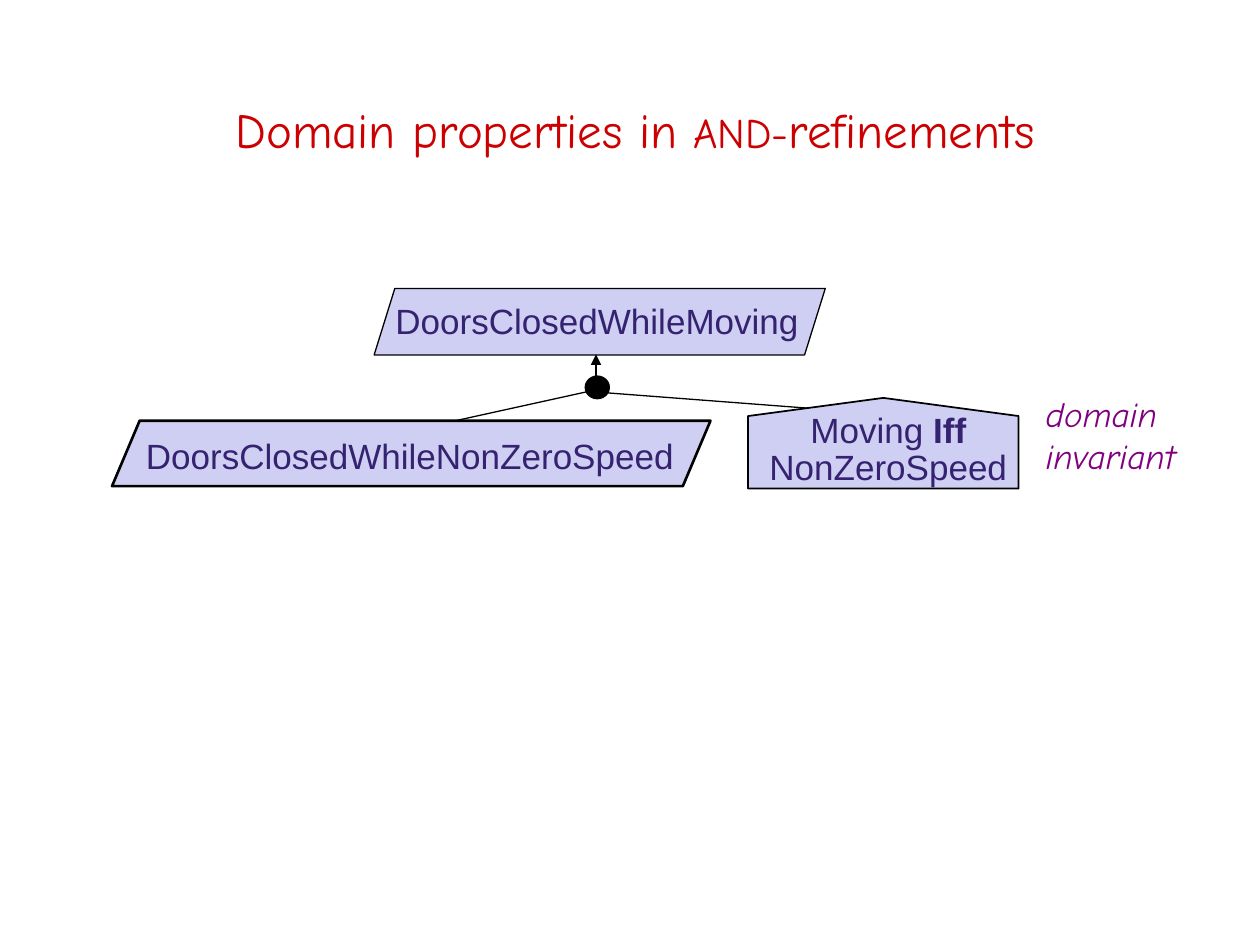
from dataclasses import dataclass
from typing import Optional

from lxml import etree
from pptx import Presentation
from pptx.dml.color import RGBColor
from pptx.enum import shapes, text
from pptx.oxml import ns
from pptx.util import Pt

RED = RGBColor(0xCC, 0x00, 0x00)
PURPLE = RGBColor(0x80, 0x00, 0x80)
INDIGO = RGBColor(0x35, 0x22, 0x70)
LAVENDER = RGBColor(0xCE, 0xCF, 0xF2)
BLACK = RGBColor(0x00, 0x00, 0x00)

HAND = "Comic Neue"
SANS = "Arial"
KINDS = shapes.MSO_SHAPE


@dataclass(frozen=True)
class Frame:
    left: float
    top: float
    width: float
    height: float

    def lengths(self) -> tuple:
        return Pt(self.left), Pt(self.top), Pt(self.width), Pt(self.height)


@dataclass(frozen=True)
class Node:
    kind: shapes.MSO_SHAPE
    frame: Frame
    fill: RGBColor
    weight: float
    slant: Optional[float] = None
    flipped: bool = False


@dataclass(frozen=True)
class Link:
    start: tuple[float, float]
    end: tuple[float, float]
    arrow: bool = False


@dataclass(frozen=True)
class Span:
    words: str
    size: float = 20
    bold: bool = False


@dataclass(frozen=True)
class Line:
    spans: tuple[Span, ...]
    spacing: Optional[float] = None


@dataclass(frozen=True)
class Label:
    frame: Frame
    lines: tuple[Line, ...]
    font: str = SANS
    color: RGBColor = INDIGO
    italic: bool = False
    centred: bool = False
    anchor: text.MSO_ANCHOR = text.MSO_ANCHOR.TOP


def draw_node(page, node: Node) -> None:
    shape = page.shapes.add_shape(node.kind, *node.frame.lengths())
    shape.shadow.inherit = False
    shape.fill.solid()
    shape.fill.fore_color.rgb = node.fill
    shape.line.color.rgb = BLACK
    shape.line.width = Pt(node.weight)
    if node.slant is not None:
        shape.adjustments[0] = node.slant
    if node.flipped:
        shape.element.spPr.find(ns.qn("a:xfrm")).set("flipV", "1")


def draw_link(page, link: Link) -> None:
    ends = [Pt(value) for value in link.start + link.end]
    connector = page.shapes.add_connector(shapes.MSO_CONNECTOR.STRAIGHT, *ends)
    connector.line.color.rgb = BLACK
    connector.line.width = Pt(0.75)
    if link.arrow:
        outline = connector.line._get_or_add_ln()
        etree.SubElement(outline, ns.qn("a:headEnd"), type="triangle")
    etree.SubElement(connector._element.spPr, ns.qn("a:effectLst"))


def draw_label(page, label: Label) -> None:
    box = page.shapes.add_textbox(*label.frame.lengths())
    frame = box.text_frame
    frame.word_wrap = True
    frame.vertical_anchor = label.anchor
    frame.text = "\n".join("" for _ in label.lines)
    for para, line in zip(frame.paragraphs, label.lines):
        if label.centred:
            para.alignment = text.PP_ALIGN.CENTER
        if line.spacing:
            para.line_spacing = line.spacing
        for span in line.spans:
            run = para.add_run()
            run.text = span.words
            run.font.name = label.font
            run.font.size = Pt(span.size)
            run.font.bold = span.bold
            run.font.italic = label.italic
            run.font.color.rgb = label.color


TITLE = Label(
    Frame(27.4, 41.8, 671, 64),
    (Line((Span("Domain properties in ", 28), Span("AND-", 24), Span("refinements", 28))),),
    HAND, RED, centred=True, anchor=text.MSO_ANCHOR.MIDDLE,
)

# Drawing order runs from back to front
DIAGRAM = (
    # Parent goal
    Node(KINDS.PARALLELOGRAM, Frame(213.8, 164.8, 257.8, 38), LAVENDER, 0.75, slant=0.311),
    Label(Frame(218.9, 167.8, 248.4, 30), (Line((Span("DoorsClosedWhileMoving"),)),)),
    # Refinement links and their joint
    Link((340.6, 202.5), (340.6, 216.7), arrow=True),
    Link((338.4, 223.2), (259.9, 240.5)),
    Node(KINDS.OVAL, Frame(334.8, 215.3, 13, 12.2), BLACK, 1.5),
    Link((345.6, 224.4), (500.4, 236.2)),
    # Domain property
    Node(KINDS.FLOWCHART_OFFPAGE_CONNECTOR, Frame(427.5, 227.4, 154.6, 51.8),
         LAVENDER, 1, flipped=True),
    Label(
        Frame(419.8, 234.7, 175.7, 42.5),
        (Line((Span("Moving "), Span("Iff", bold=True)), 0.8),
         Line((Span("NonZeroSpeed"),), 0.9)),
        centred=True,
    ),
    # Child goal
    Node(KINDS.PARALLELOGRAM, Frame(64, 240.4, 342, 37.4), LAVENDER, 1.5, slant=0.423),
    Label(Frame(76.3, 244.8, 321.8, 25.2), (Line((Span("DoorsClosedWhileNonZeroSpeed"),)),)),
    # Remark beside the domain property
    Label(
        Frame(590.4, 221, 113, 53.3),
        (Line((Span("domain"),)), Line((Span("invariant"),))),
        HAND, PURPLE, italic=True,
    ),
)

DRAWERS = {Node: draw_node, Link: draw_link, Label: draw_label}


def main() -> None:
    deck = Presentation()
    deck.slide_width, deck.slide_height = Pt(720), Pt(540)
    page = deck.slides.add_slide(deck.slide_layouts[6])
    for part in (TITLE, *DIAGRAM):
        DRAWERS[type(part)](page, part)
    deck.save("out.pptx")


if __name__ == "__main__":
    main()
